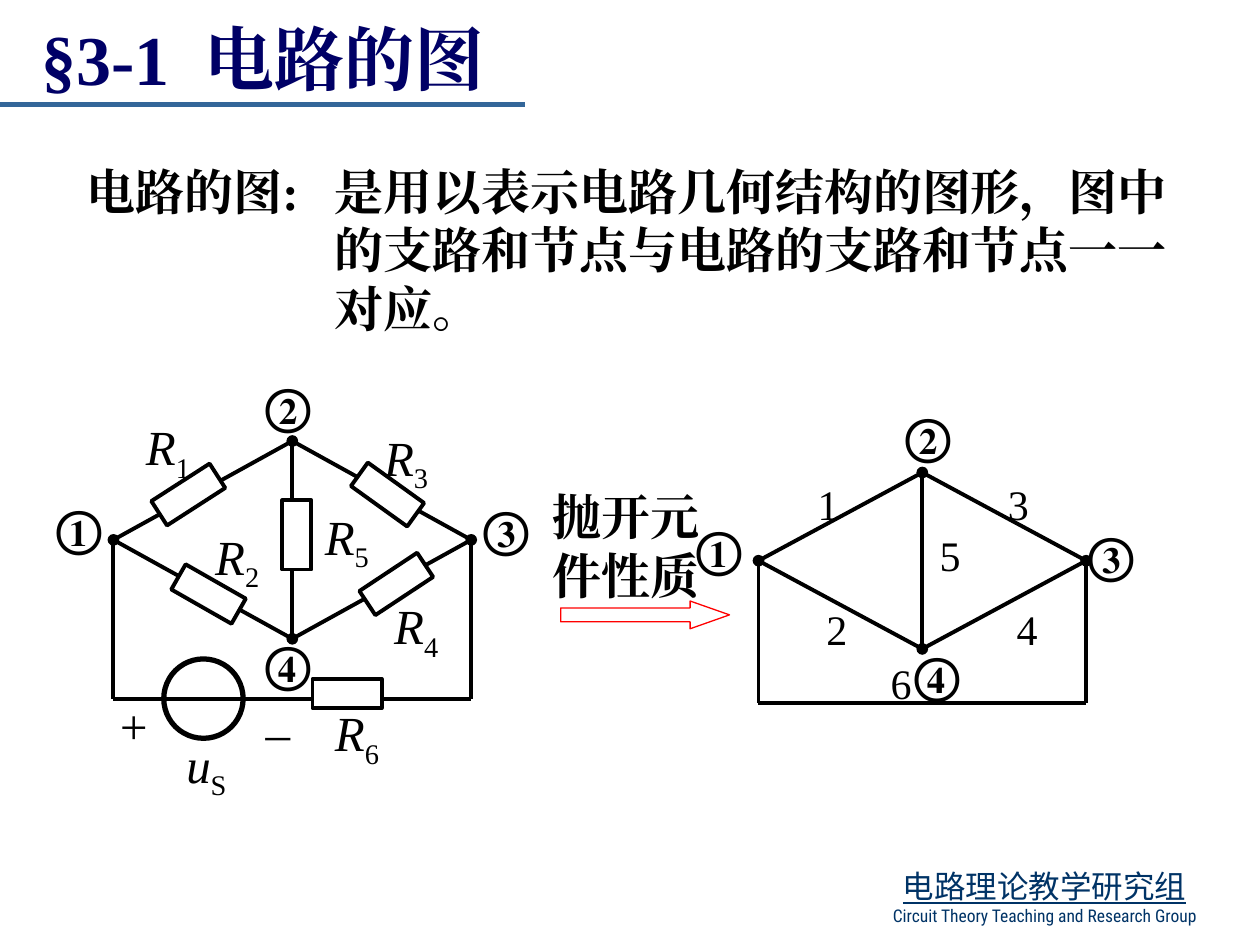
import lxml.etree
import pptx
import pptx.dml.color
import pptx.enum.shapes
import pptx.enum.text
import pptx.oxml.ns
import pptx.util

Inches = pptx.util.Inches
SHAPE = pptx.enum.shapes.MSO_SHAPE
ALIGN = pptx.enum.text.PP_ALIGN
qn = pptx.oxml.ns.qn
SERIF = "Times New Roman"
BLACK = "000000"
WIRE = 2.25


def rgb(color):
    return pptx.dml.color.RGBColor.from_string(color)


def add_run(p, text, size, color=BLACK, name=SERIF, **formats):
    r = p.add_run()
    r.text = text
    r.font.color.rgb = rgb(color)
    for key, value in dict(formats, size=pptx.util.Pt(size), name=name).items():
        setattr(r.font, key, value)
    latin = r.font._element.find(qn("a:latin"))
    ea = lxml.etree.Element(qn("a:ea"), typeface=name)
    latin.addnext(ea)
    return r


def add_text(shapes, x, y, w, h, text, size=28, sub="", wrap=True, **formats):
    """Add a text box, with an optional subscript after its text."""
    tf = shapes.add_textbox(Inches(x), Inches(y), Inches(w), Inches(h)).text_frame
    tf.word_wrap = wrap
    p = tf.paragraphs[0]
    add_run(p, text, size, **formats)
    if sub:
        r = add_run(p, sub, size, italic=False)
        r.font._element.set("baseline", "-25000")
    return tf


def add_line(shapes, start, end, color=BLACK, width=WIRE, dots=()):
    """Add a line; dots names the ends (headEnd, tailEnd) that carry a node."""
    s = shapes.add_connector(pptx.enum.shapes.MSO_CONNECTOR.STRAIGHT,
                             *(Inches(v) for v in (*start, *end)))
    s.line.color.rgb = rgb(color)
    s.line.width = pptx.util.Pt(width)
    ln = s.line._get_or_add_ln()
    for dot in dots:
        lxml.etree.SubElement(ln, qn("a:" + dot), type="oval")
    lxml.etree.SubElement(s._element.spPr, qn("a:effectLst"))


def add_outline(shapes, kind, x, y, w, h, color=BLACK, width=WIRE, rotation=0):
    s = shapes.add_shape(kind, Inches(x), Inches(y), Inches(w), Inches(h))
    s.shadow.inherit = False
    s.fill.solid()
    s.fill.fore_color.rgb = rgb("FFFFFF")
    s.line.color.rgb = rgb(color)
    s.line.width = pptx.util.Pt(width)
    s.rotation = rotation
    return s


def add_bridge(shapes, x, y, half_w, half_h, depth):
    """Draw the wires of a bridge whose outer loop closes at depth."""
    left, right = (x, y + half_h), (x + 2 * half_w, y + half_h)
    top, bottom = (x + half_w, y), (x + half_w, y + 2 * half_h)
    corners = (x, y + depth), (x + 2 * half_w, y + depth)
    for side in (left, right):
        for tip in (top, bottom):
            add_line(shapes, side, tip)
    add_line(shapes, top, bottom, dots=("headEnd", "tailEnd"))
    for side, corner in zip((left, right), corners):
        add_line(shapes, side, corner, dots=("headEnd",))
    add_line(shapes, *corners)


def add_node_names(shapes, x, y, places):
    for name, (dx, dy) in zip("①②③④", places):
        add_text(shapes, x + dx, y + dy, 0.59, 0.57, name, wrap=False, bold=True)


def add_title(slide, x, y, w, h):
    s = slide.shapes.title
    s.left, s.top, s.width, s.height = (Inches(v) for v in (x, y, w, h))
    tf = s.text_frame
    tf.auto_size = pptx.enum.text.MSO_AUTO_SIZE.NONE
    tf.vertical_anchor = pptx.enum.text.MSO_ANCHOR.MIDDLE
    p = tf.paragraphs[0]
    p.alignment = ALIGN.CENTER
    for text, spacing in (("§3-1", 0), (" ", 1000), ("电路的图", 0)):
        r = add_run(p, text, 40, "000066", bold=True)
        r.font._element.set("spc", str(spacing))
    add_line(slide.shapes, (0, 0.83), (4.17, 0.83), "336699", 3)


def add_definition(shapes, x, y, w, h):
    term_w = 1.97
    add_text(shapes, x, y, term_w, 0.57, "电路的图:", bold=True)
    add_text(shapes, x + term_w, y, w - term_w, h,
             "是用以表示电路几何结构的图形，图中的支路和节点与电路的支路和节点一一对应。",
             bold=True)


def add_circuit(shapes, x, y, half_w, half_h, depth):
    add_outline(shapes, SHAPE.OVAL, x + 0.4, y + 1.73, 0.63, 0.63, width=3)
    add_bridge(shapes, x, y, half_w, half_h, depth)
    resistors = [  # body offset, rotation, label offset
        (0.32, 0.31, 327.2, 0.16, -0.24),
        (0.48, 1.1, 29.7, 0.71, 0.63),
        (1.9, 0.31, 35.7, 2.05, -0.16),
        (1.97, 1.02, 326.5, 2.13, 1.18),
        (1.18, 0.63, 90, 1.58, 0.47),
        (1.58, 1.89, 0, 1.66, 2.03),
    ]
    for number, (dx, dy, angle, label_x, label_y) in enumerate(resistors, 1):
        add_outline(shapes, SHAPE.RECTANGLE, x + dx, y + dy, 0.55, 0.23, rotation=angle)
        add_text(shapes, x + label_x, y + label_y, 0.94, 0.57, "R",
                 sub=str(number), italic=True)
    for text, sub, dx, dy in (("u", "S", 0.48, 2.28), ("+", "", -0.07, 1.97),
                              ("_", "", 1.11, 1.89)):
        add_text(shapes, x + dx, y + dy, 0.55, 0.57, text, sub=sub, italic=True)
    add_node_names(shapes, x, y,
                   [(-0.55, 0.4), (1.11, -0.57), (2.84, 0.41), (1.11, 1.48)])


def add_step(shapes, x, y, w):
    s = add_outline(shapes, SHAPE.RIGHT_ARROW, x + 0.16, y + 0.96, w - 0.16, 0.22,
                    "FF0000", 0.75)
    s.adjustments[0], s.adjustments[1] = 0.5, 1.42
    add_text(shapes, x, y, w, 1.03, "抛开元件性质", bold=True)


def add_graph(shapes, x, y, half_w, half_h, depth):
    add_bridge(shapes, x, y, half_w, half_h, depth)
    branches = [(0.37, 0), (0.44, 0.99), (1.88, 0), (1.95, 0.99), (1.34, 0.4), (0.95, 1.42)]
    for number, (dx, dy) in enumerate(branches, 1):
        add_text(shapes, x + dx, y + dy, 0.29, 0.5, str(number), 24)
    add_node_names(shapes, x, y,
                   [(-0.59, 0.32), (1.07, -0.58), (2.52, 0.36), (1.14, 1.32)])


def add_footer(shapes, x, y, w, h):
    tf = add_text(shapes, x, y, w, h, "电路理论教学研究组", 18, color="003366",
                  name="Noto Sans CJK SC", underline=True)
    add_run(tf.add_paragraph(), "Circuit Theory Teaching and Research Group", 10,
            "003366", "Roboto Condensed")
    for p in tf.paragraphs:
        p.alignment = ALIGN.CENTER


def main():
    prs = pptx.Presentation()
    prs.slide_width, prs.slide_height = Inches(10), Inches(7.5)
    slide = prs.slides.add_slide(prs.slide_layouts[5])
    shapes = slide.shapes
    add_footer(shapes, 6.75, 6.83, 3.08, 0.57)
    add_title(slide, -0.2, 0, 4.57, 0.91)
    add_definition(shapes, 0.59, 1.23, 8.98, 1.5)
    add_step(shapes.add_group_shape().shapes, 4.29, 3.81, 1.5)
    add_graph(shapes.add_group_shape().shapes, 6.02, 3.75, 1.3, 0.7, 1.83)
    add_circuit(shapes.add_group_shape().shapes, 0.9, 3.5, 1.42, 0.785, 2.05)
    prs.save("out.pptx")


if __name__ == "__main__":
    main()
